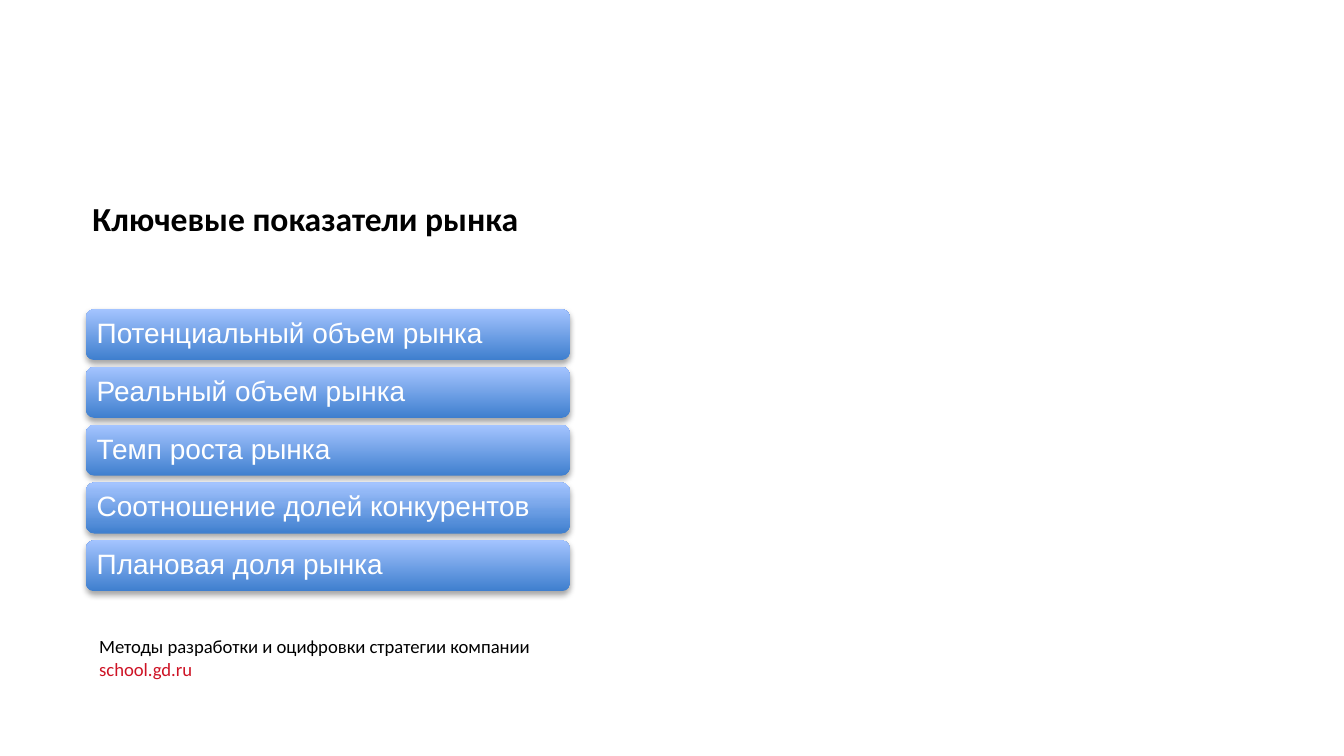
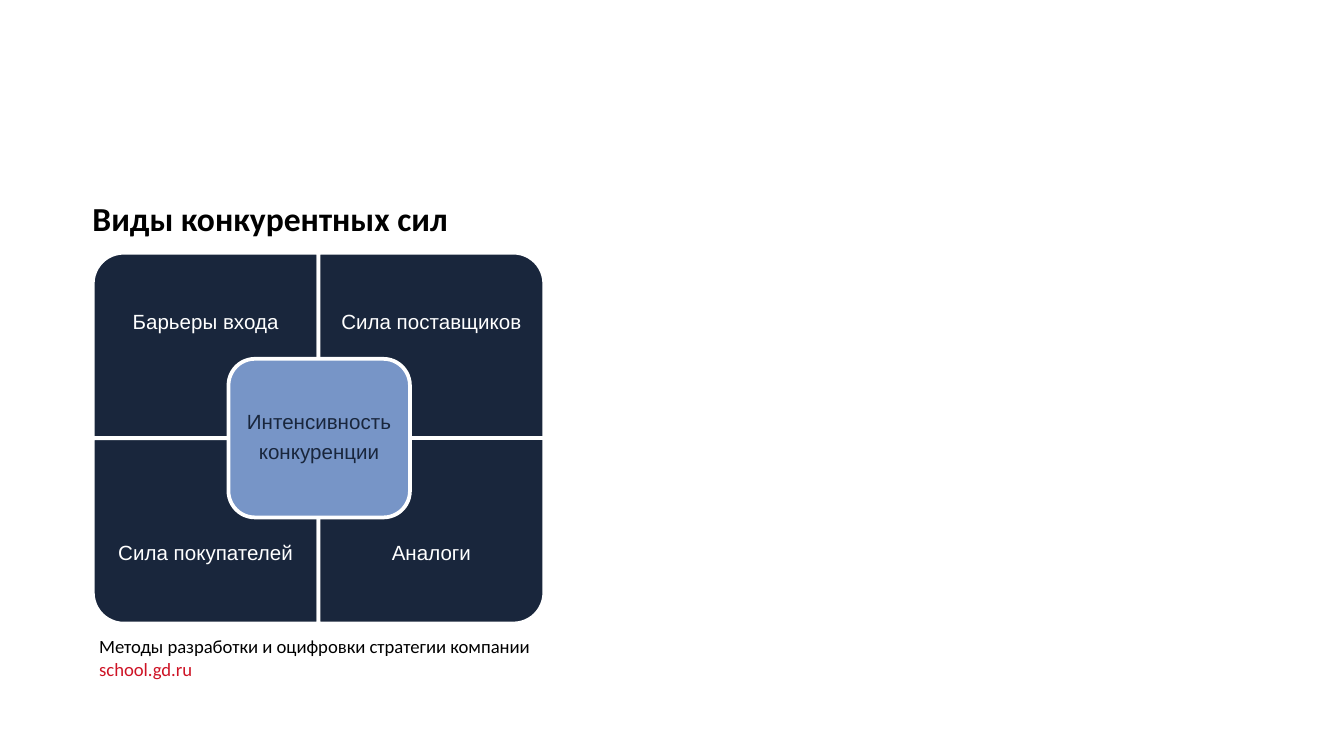
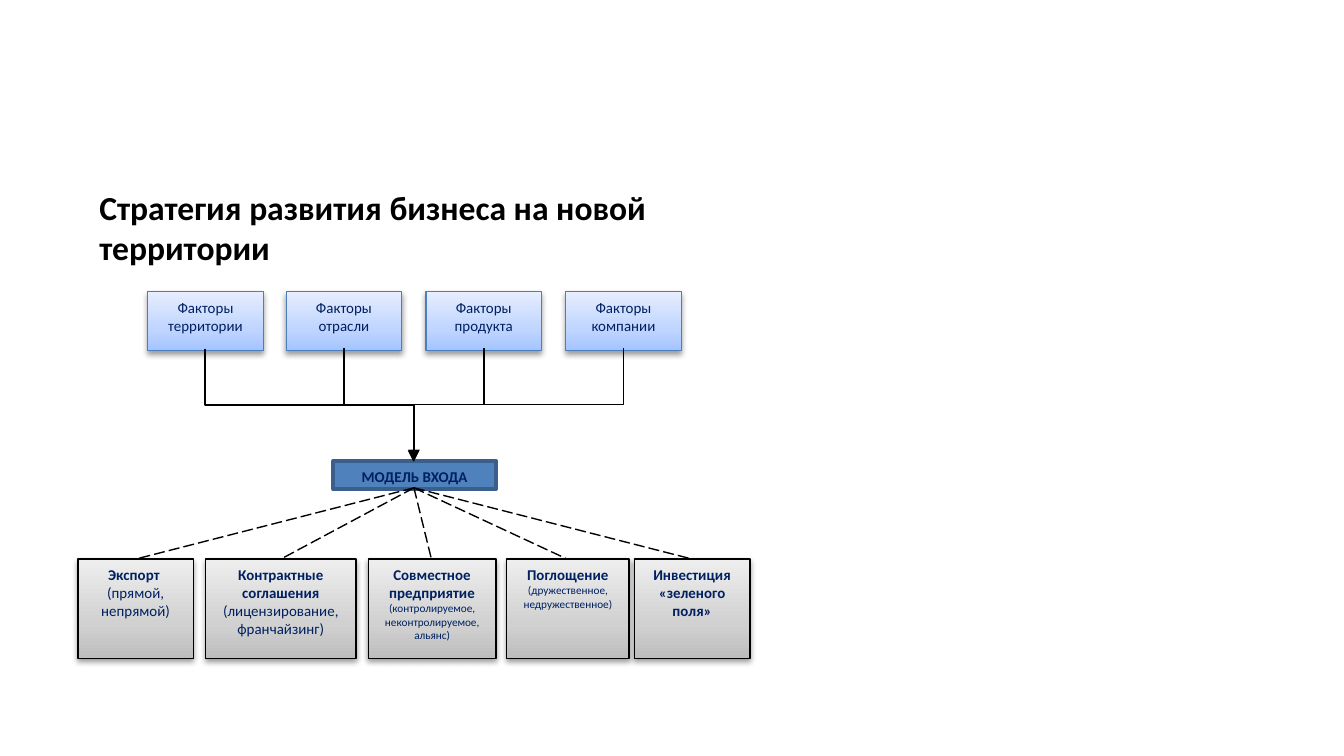
from dataclasses import dataclass

from lxml import etree
from pptx import Presentation
from pptx import util as u
from pptx.dml.color import RGBColor
from pptx.enum import dml, shapes, text
from pptx.oxml.ns import qn

PX = u.Inches(1) // 100

BLACK = RGBColor(0x00, 0x00, 0x00)
WHITE = RGBColor(0xFF, 0xFF, 0xFF)
RED = RGBColor(0xCE, 0x13, 0x25)
INK = RGBColor(0x19, 0x26, 0x3C)
NAVY = RGBColor(0x00, 0x20, 0x60)
SOFT_BLUE = RGBColor(0x77, 0x95, 0xC7)
MODEL_BLUE = RGBColor(0x4F, 0x81, 0xBD)
MODEL_EDGE = RGBColor(0x3A, 0x5F, 0x8C)
FACTOR_EDGE = RGBColor(0x4B, 0x7E, 0xBC)

# Gradient stops run from bottom to top: percent, colour.
BAR_GRADIENT = ((0, RGBColor(0x3F, 0x7F, 0xCE)), (100, RGBColor(0xA4, 0xC4, 0xFF)))
FACTOR_GRADIENT = (
    (0, RGBColor(0xA4, 0xC4, 0xFF)),
    (35, RGBColor(0xBF, 0xD4, 0xFF)),
    (100, RGBColor(0xE6, 0xEE, 0xFF)),
)
OPTION_GRADIENT = (
    (0, RGBColor(0xBD, 0xBD, 0xBD)),
    (35, RGBColor(0xD1, 0xD1, 0xD1)),
    (100, RGBColor(0xEE, 0xEE, 0xEE)),
)

KIND = shapes.MSO_SHAPE
CENTER = text.PP_ALIGN.CENTER


@dataclass(frozen=True)
class Frame:
    left: int
    top: int
    width: int
    height: int

    def emu(self) -> tuple[int, ...]:
        return tuple(v * PX for v in (self.left, self.top, self.width, self.height))

    def inner(self, margin: int) -> "Frame":
        return Frame(self.left + margin, self.top + margin,
                     self.width - 2 * margin, self.height - 2 * margin)

    def quarter_turned(self) -> "Frame":
        """Swap the sides around the same centre."""
        shift = (self.width - self.height) // 2
        return Frame(self.left + shift, self.top - shift, self.height, self.width)


@dataclass(frozen=True)
class Span:
    words: str
    size: float
    color: RGBColor
    bold: bool = False
    font: str = "Calibri"


@dataclass(frozen=True)
class Look:
    fill: RGBColor | tuple
    edge: RGBColor | None = None
    edge_width: float = 0.75
    shadow_alpha: int = 0
    shadow_distance: float = 1.6


@dataclass(frozen=True)
class Quadrant:
    words: str
    column: int
    row: int
    turn: int


@dataclass(frozen=True)
class Option:
    left: int
    width: int
    paras: list


BAR = Look(BAR_GRADIENT, shadow_alpha=35, shadow_distance=1.8)
QUADRANT = Look(INK, WHITE, 2)
CORE = Look(SOFT_BLUE, WHITE, 2)
MODEL = Look(MODEL_BLUE, MODEL_EDGE, 2)
FACTOR = Look(FACTOR_GRADIENT, FACTOR_EDGE, shadow_alpha=38)
OPTION = Look(OPTION_GRADIENT, BLACK, shadow_alpha=38)


def write(box, paras: list, align=None) -> list:
    """Fill a shape with paragraphs, each a list of spans."""
    frame = box.text_frame
    frame.word_wrap = True
    for i, spans in enumerate(paras):
        para = frame.add_paragraph() if i else frame.paragraphs[0]
        para.alignment = align
        for span in spans:
            run = para.add_run()
            run.text = span.words
            run.font.name = span.font
            run.font.size = u.Pt(span.size)
            run.font.bold = span.bold
            run.font.color.rgb = span.color
    return list(frame.paragraphs)


def set_gradient(shape, stops: tuple) -> None:
    shape.fill.gradient()
    shape.fill.gradient_angle = 90
    stop_list = shape.element.spPr.find(".//" + qn("a:gsLst"))
    stop_list.clear()
    for percent, color in stops:
        stop = etree.SubElement(stop_list, qn("a:gs"), pos=str(percent * 1000))
        etree.SubElement(stop, qn("a:srgbClr"), val=str(color))


def set_shadow(shape, look: Look) -> None:
    effects = shape.element.spPr.find(qn("a:effectLst"))
    outer = etree.SubElement(
        effects, qn("a:outerShdw"), blurRad=str(u.Pt(3.1)),
        dist=str(u.Pt(look.shadow_distance)), dir="5400000", rotWithShape="0")
    color = etree.SubElement(outer, qn("a:srgbClr"), val=str(BLACK))
    etree.SubElement(color, qn("a:alpha"), val=str(look.shadow_alpha * 1000))


def add_block(page, kind, frame: Frame, look: Look):
    shape = page.shapes.add_shape(kind, *frame.emu())
    shape.shadow.inherit = False
    if isinstance(look.fill, RGBColor):
        shape.fill.solid()
        shape.fill.fore_color.rgb = look.fill
    else:
        set_gradient(shape, look.fill)
    if look.edge is None:
        shape.line.fill.background()
    else:
        shape.line.color.rgb = look.edge
        shape.line.width = u.Pt(look.edge_width)
    if look.shadow_alpha:
        set_shadow(shape, look)
    return shape


def add_card(page, frame: Frame, look: Look, paras: list) -> None:
    """Draw a rectangle with centred text that starts at its top."""
    card = add_block(page, KIND.RECTANGLE, frame, look)
    card.text_frame.vertical_anchor = text.MSO_ANCHOR.TOP
    write(card, paras, CENTER)


def add_label(page, frame: Frame, spans: list, inset: int, align=None) -> None:
    """Draw middle-anchored text, one paragraph for each span."""
    box = page.shapes.add_textbox(*frame.emu())
    body = box.text_frame
    body.vertical_anchor = text.MSO_ANCHOR.MIDDLE
    body.margin_left = body.margin_right = inset * PX
    body.margin_top = body.margin_bottom = inset * PX
    for para, span in zip(write(box, [[s] for s in spans], align), spans):
        para.line_spacing = 0.9
        para.space_after = u.Pt(round(span.size * 0.35))


def add_title(page, words: str, frame: Frame = Frame(59, 142, 360, 46)) -> None:
    write(page.shapes.add_textbox(*frame.emu()), [[Span(words, 18, BLACK, True)]])


def add_footer(page) -> None:
    box = page.shapes.add_textbox(*Frame(64, 469, 550, 42).emu())
    paras = write(box, [
        [Span("Методы разработки и оцифровки стратегии компании", 10, BLACK)],
        [Span("school.gd.ru", 10, RED)],
    ])
    paras[0].line_spacing = 0.91
    box.text_frame.auto_size = text.MSO_AUTO_SIZE.SHAPE_TO_FIT_TEXT


def add_line(page, kind, x1: int, y1: int, x2: int, y2: int):
    line = page.shapes.add_connector(kind, x1 * PX, y1 * PX, x2 * PX, y2 * PX)
    line.line.color.rgb = BLACK
    line.line.width = u.Pt(0.75)
    etree.SubElement(line.element.spPr, qn("a:effectLst"))
    return line


def add_elbow_arrow(page, x1: int, y1: int, x2: int, y2: int) -> None:
    """Draw an arrow that goes down, across and down again."""
    left, right = min(x1, x2), max(x1, x2)
    turned = Frame(left, y1, right - left, y2 - y1).quarter_turned()
    start, end = turned.left, turned.left + turned.width
    rightward = x1 < x2
    if rightward:
        start, end = end, start
    arrow = add_line(page, shapes.MSO_CONNECTOR.ELBOW,
                     start, turned.top, end, turned.top + turned.height)
    rotation = 270 if rightward else 90
    properties = arrow.element.spPr
    properties.find(qn("a:xfrm")).set("rot", str(rotation * 60000))
    etree.SubElement(properties.find(qn("a:ln")), qn("a:tailEnd"), type="triangle")


def build_indicators(page) -> None:
    add_title(page, "Ключевые показатели рынка")
    add_footer(page)
    indicators = (
        "Потенциальный объем рынка",
        "Реальный объем рынка",
        "Темп роста рынка",
        "Соотношение долей конкурентов",
        "Плановая доля рынка",
    )
    for i, words in enumerate(indicators):
        frame = Frame(64, 230 + 43 * i, 360, 38)
        add_block(page, KIND.ROUNDED_RECTANGLE, frame, BAR)
        add_label(page, frame.inner(2), [Span(words, 15, WHITE, font="Arial")], 6)


def build_forces(page) -> None:
    add_title(page, "Виды конкурентных сил")
    add_footer(page)
    quadrants = (
        Quadrant("Барьеры входа", 0, 0, 270),
        Quadrant("Сила поставщиков", 1, 0, 0),
        Quadrant("Сила покупателей", 0, 1, 180),
        Quadrant("Аналоги", 1, 1, 90),
    )
    width, height, label_height = 168, 138, 104
    for quadrant in quadrants:
        frame = Frame(69 + width * quadrant.column, 188 + height * quadrant.row,
                      width, height)
        sideways = quadrant.turn % 180 == 90
        shape = add_block(page, KIND.ROUND_1_RECTANGLE,
                          frame.quarter_turned() if sideways else frame, QUADRANT)
        shape.rotation = quadrant.turn
        label_top = frame.top + (height - label_height) * quadrant.row
        add_label(page, Frame(frame.left, label_top, width, label_height),
                  [Span(quadrant.words, 11, WHITE, font="Arial")], 9, CENTER)

    core = Frame(170, 267, 135, 118)
    add_block(page, KIND.ROUNDED_RECTANGLE, core, CORE)
    add_label(page, core.inner(6),
              [Span(words, 11, INK, font="Arial")
               for words in ("Интенсивность", "конкуренции")], 5, CENTER)


def build_entry_strategy(page) -> None:
    add_title(page, "Стратегия развития бизнеса на новой территории",
              Frame(64, 134, 431, 46))
    hub_x, model_top, model_bottom = 308, 343, 363
    add_card(page, Frame(248, model_top, 121, 21), MODEL,
             [[Span("МОДЕЛЬ ВХОДА", 8, NAVY, True)]])

    factor_width = 86
    for i, subject in enumerate(("территории", "отрасли", "продукта", "компании")):
        left = 110 + 311 * i // 3
        add_card(page, Frame(left, 217, factor_width, 44), FACTOR,
                 [[Span(f"Факторы {subject}", 8, NAVY)]])
        add_elbow_arrow(page, left + factor_width // 2, 259, hub_x, model_top)

    options = (
        Option(58, 86, [[Span("Экспорт ", 8, NAVY, True)],
                        [Span("(прямой, непрямой)", 8, NAVY)]]),
        Option(153, 112, [[Span("Контрактные соглашения ", 8, NAVY, True),
                           Span("(лицензирование, франчайзинг)", 8, NAVY)]]),
        Option(274, 95, [[Span("Совместное предприятие ", 8, NAVY, True),
                          Span("(контролируемое, неконтролируемое, альянс)", 6, NAVY)]]),
        Option(377, 91, [[Span("Поглощение ", 8, NAVY, True),
                          Span("(дружественное, недружественное)", 6, NAVY)]]),
        Option(472, 86, [[Span("Инвестиция «зеленого поля»", 8, NAVY, True)]]),
    )
    option_top = 416
    for option in options:
        add_card(page, Frame(option.left, option_top, option.width, 74), OPTION,
                 option.paras)
        line = add_line(page, shapes.MSO_CONNECTOR.STRAIGHT, hub_x, model_bottom,
                        option.left + option.width // 2, option_top)
        line.line.dash_style = dml.MSO_LINE.LONG_DASH


def main() -> None:
    deck = Presentation()
    deck.slide_width = 1000 * PX
    deck.slide_height = deck.slide_width * 9 // 16
    blank = deck.slide_layouts[6]
    for build in (build_indicators, build_forces, build_entry_strategy):
        build(deck.slides.add_slide(blank))
    deck.save("out.pptx")


if __name__ == "__main__":
    main()
